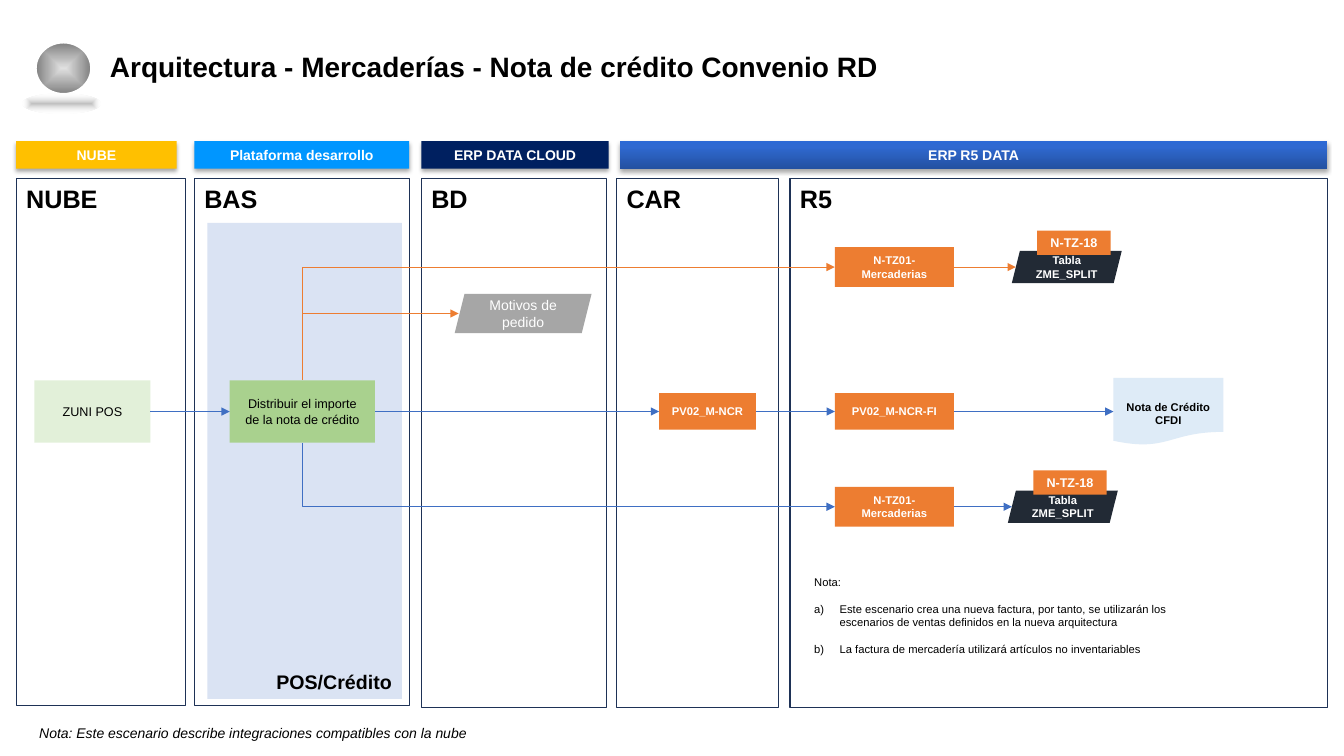
import pptx
import pptx.util
import pptx.dml.color
import pptx.enum.shapes
import pptx.enum.text
import pptx.oxml
import pptx.oxml.ns

Cm, Pt = pptx.util.Cm, pptx.util.Pt
SHAPE = pptx.enum.shapes.MSO_SHAPE
ALIGN = pptx.enum.text.PP_ALIGN
ANCHOR = pptx.enum.text.MSO_ANCHOR
BLUE, ORANGE, DARK = "3F6FC3", "ED7D31", "222A35"
TOP, LEFT, BOTTOM, RIGHT = range(4)  # connection sites of a rectangle
MAIN_ROW = 5.87
PANEL_TOP = 4.5


def rgb(value):
    return pptx.dml.color.RGBColor.from_string(value)


def xml(tag, inner="", **attributes):
    listed = "".join(f' {key}="{value}"' for key, value in attributes.items())
    return f"<a:{tag}{listed}>{inner}</a:{tag}>"


def element(tag, inner="", **attributes):
    namespace = pptx.oxml.ns.nsdecls("a").split('"')[1]
    return pptx.oxml.parse_xml(xml(tag, inner, **{"xmlns:a": namespace}, **attributes))


def write(shape, text, size, color="000000", bold=False, italic=False,
          align=ALIGN.CENTER, anchor=ANCHOR.MIDDLE):
    """Fill a shape with one paragraph per line of text."""
    frame = shape.text_frame
    frame.word_wrap = True
    frame.vertical_anchor = anchor
    for index, line in enumerate(text.split("\n")):
        para = frame.add_paragraph() if index else frame.paragraphs[0]
        para.alignment = align
        span = para.add_run()
        span.text = line
        span.font.name, span.font.size = "Arial", Pt(size)
        span.font.bold, span.font.italic = bold, italic
        span.font.color.rgb = rgb(color)
    return frame.paragraphs


def add_box(page, box, fill=None, line=None, kind=SHAPE.RECTANGLE, weight=0.75):
    shape = page.shapes.add_shape(kind, *map(Cm, box))
    shape.shadow.inherit = False
    if fill:
        shape.fill.solid()
        shape.fill.fore_color.rgb = rgb(fill)
    else:
        shape.fill.background()
    if line:
        shape.line.color.rgb = rgb(line)
        shape.line.width = Pt(weight)
    else:
        shape.line.fill.background()
    return shape


def add_text(page, box, text, size, **style):
    shape = page.shapes.add_textbox(*map(Cm, box))
    return write(shape, text, size, align=ALIGN.LEFT, anchor=ANCHOR.TOP, **style)


def set_gradient(shape, stops, angle=None):
    """Stops are (percent, colour, opacity); without an angle it spreads from the centre."""
    shape.fill.gradient()
    gradient = shape._element.spPr.find(pptx.oxml.ns.qn("a:gradFill"))
    for child in list(gradient):
        gradient.remove(child)
    gradient.append(element("gsLst", "".join(
        xml("gs", xml("srgbClr", xml("alpha", val=opacity * 1000), val=color), pos=percent * 1000)
        for percent, color, opacity in stops)))
    if angle is None:
        centre = xml("fillToRect", l=50000, t=50000, r=50000, b=50000)
        gradient.append(element("path", centre, path="rect"))
    else:
        gradient.append(element("lin", ang=angle * 60000, scaled=0))


def add_heading(page, box):
    left, top, width, height = box
    sphere = add_box(page, (left, top, 1.4, 1.3), "808080", "FFFFFF", SHAPE.OVAL, 1.5)
    set_gradient(sphere, [(0, "E0E0E0", 100), (100, "808080", 100)])
    ground = add_box(page, (left - 0.33, top + 1.3, 1.96, 0.48), "808080", kind=SHAPE.OVAL)
    set_gradient(ground, [(0, "808080", 50), (100, "FFFFFF", 0)])
    title = add_text(page, (left + 1.62, top + 0.15, width - 1.62, height),
                     "Arquitectura - Mercaderías - Nota de crédito Convenio RD", 20, bold=True)
    title[0].line_spacing = 0.9


def add_banner(page, box, text, fill):
    banner = add_box(page, box, fill)
    shade = xml("srgbClr", xml("alpha", val=35000), val="000000")
    banner._element.spPr.find(pptx.oxml.ns.qn("a:effectLst")).append(
        element("outerShdw", shade, blurRad=Pt(3.1), dist=Pt(1.8), dir=5400000, rotWithShape=0))
    write(banner, text, 10, "FFFFFF", bold=True)
    return banner


def add_panel(page, box, text):
    write(add_box(page, box, line="1E3256"), text, 18, bold=True,
          align=ALIGN.LEFT, anchor=ANCHOR.TOP)


def add_node(page, panel, left, middle, size, text, fill, points=8, color="FFFFFF",
             bold=True, kind=SHAPE.RECTANGLE, anchor=ANCHOR.MIDDLE):
    """Place a node in a panel, centred on the row at middle."""
    width, height = size
    box = (panel[0] + left, panel[1] + middle - height / 2, width, height)
    node = add_box(page, box, fill, kind=kind)
    write(node, text, points, color, bold, anchor=anchor)
    return node


def link(page, source, target, color=BLUE, side=RIGHT):
    """Draw an arrow from one side of source to the left edge of target."""
    slanted = target.auto_shape_type == SHAPE.PARALLELOGRAM
    tip = target.left + (Cm(0.1) if slanted else 0), target.top + target.height // 2
    straight = side == RIGHT
    kinds = pptx.enum.shapes.MSO_CONNECTOR
    arrow = page.shapes.add_connector(kinds.STRAIGHT if straight else kinds.ELBOW, *tip, *tip)
    if not slanted:
        arrow.begin_connect(target, LEFT)
    arrow.end_connect(source, side)
    arrow.line.color.rgb = rgb(color)
    arrow.line.width = Pt(0.75)
    properties = arrow._element.spPr
    if not straight:
        properties.find(pptx.oxml.ns.qn("a:prstGeom")).set("prst", "bentConnector2")
    properties.find(pptx.oxml.ns.qn("a:ln")).append(element("headEnd", type="triangle"))
    properties.append(element("effectLst"))


def add_split(page, panel, middle, table_left, color):
    """Draw a goods node linked to its tagged table."""
    goods = add_node(page, panel, 1.13, middle, (3, 1), "N-TZ01-Mercaderias", ORANGE)
    table = add_node(page, panel, table_left, middle, (2.77, 0.81), "Tabla ZME_SPLIT",
                     DARK, kind=SHAPE.PARALLELOGRAM)
    link(page, goods, table, color)
    add_node(page, panel, table_left + 0.64, middle - 0.61, (1.85, 0.61), "N-TZ-18", ORANGE, 9)
    return goods


def add_remarks(page, box):
    remarks = add_text(page, box, "Nota:\n"
                       "Este escenario crea una nueva factura, por tanto, se utilizarán los "
                       "escenarios de ventas definidos en la nueva arquitectura\n"
                       "La factura de mercadería utilizará artículos no inventariables", 8)
    for para in remarks[1:]:
        para.space_before = Pt(9.4)
        layout = para._p.get_or_add_pPr()
        layout.set("marL", str(Cm(0.64)))
        layout.set("indent", str(-Cm(0.64)))
        layout.append(element("buAutoNum", type="alphaLcParenR"))


def add_flow(page, cloud, studio, database, activity, core):
    """Place the nodes of each panel and the arrows between them."""
    zone = add_box(page, (studio[0] + 0.33, studio[1] + 1.12, 4.9, 11.99), "DAE3F3")
    write(zone, "POS/Crédito", 14, bold=True, align=ALIGN.RIGHT, anchor=ANCHOR.BOTTOM)
    till = add_node(page, cloud, 0.46, MAIN_ROW, (2.92, 1.57), "ZUNI POS", "E2F0D9", 9,
                    "000000", False)
    share = add_node(page, studio, 0.89, MAIN_ROW, (3.66, 1.57),
                     "Distribuir el importe de la nota de crédito", "A9D18E", 9, "000000", False)
    reasons = add_node(page, database, 0.84, 3.4, (3.45, 0.99), "Motivos de pedido", "A6A6A6",
                       10, bold=False, kind=SHAPE.PARALLELOGRAM)
    credit = add_node(page, activity, 1.07, MAIN_ROW, (2.44, 0.92), "PV02_M-NCR", ORANGE)
    finance = add_node(page, core, 1.13, MAIN_ROW, (3, 0.92), "PV02_M-NCR-FI", ORANGE)
    invoice = add_node(page, core, 8.15, MAIN_ROW, (2.77, 1.7), "Nota de Crédito\nCFDI",
                       "DEEBF7", color="000000", kind=SHAPE.FLOWCHART_DOCUMENT,
                       anchor=ANCHOR.BOTTOM)
    upper = add_split(page, core, 2.23, 5.59, ORANGE)
    lower = add_split(page, core, 8.27, 5.49, BLUE)
    steps = [till, share, credit, finance, invoice]
    for source, target in zip(steps, steps[1:]):
        link(page, source, target)
    link(page, share, upper, ORANGE, TOP)
    link(page, share, reasons, ORANGE, TOP)
    link(page, share, lower, BLUE, BOTTOM)


def main():
    deck = pptx.Presentation()
    deck.slide_width, deck.slide_height = Cm(33.87), Cm(19.05)
    page = deck.slides.add_slide(deck.slide_layouts[6])
    add_heading(page, (0.9, 1.07, 28.5, 1.02))

    for left, width, text, fill in [(0.41, 4.04, "NUBE", "FFC000"),
                                    (4.9, 5.41, "Plataforma desarrollo", "0096FF"),
                                    (10.62, 4.72, "ERP DATA CLOUD", "002060"),
                                    (15.62, 17.83, "ERP R5 DATA", "2F69D1")]:
        banner = add_banner(page, (left, 3.56, width, 0.69), text, fill)
    set_gradient(banner, [(0, "2451A1", 100), (80, "2F69D1", 100), (100, "2C69D5", 100)], 270)

    panels = []
    for left, width, height, text in [(0.41, 4.27, 13.28, "NUBE"), (4.9, 5.41, 13.28, "BAS"),
                                      (10.62, 4.67, 13.34, "BD"), (15.54, 4.09, 13.34, "CAR"),
                                      (19.91, 13.54, 13.34, "R5")]:
        panels.append((left, PANEL_TOP, width, height))
        add_panel(page, panels[-1], text)
    add_flow(page, *panels)

    core_left, core_top = panels[-1][:2]
    add_remarks(page, (core_left + 0.36, core_top + 9.88, 9.88, 2.62))
    add_text(page, (0.74, 18.14, 13.92, 0.69),
             "Nota: Este escenario describe integraciones compatibles con la nube", 10, italic=True)
    deck.save("out.pptx")


if __name__ == "__main__":
    main()
